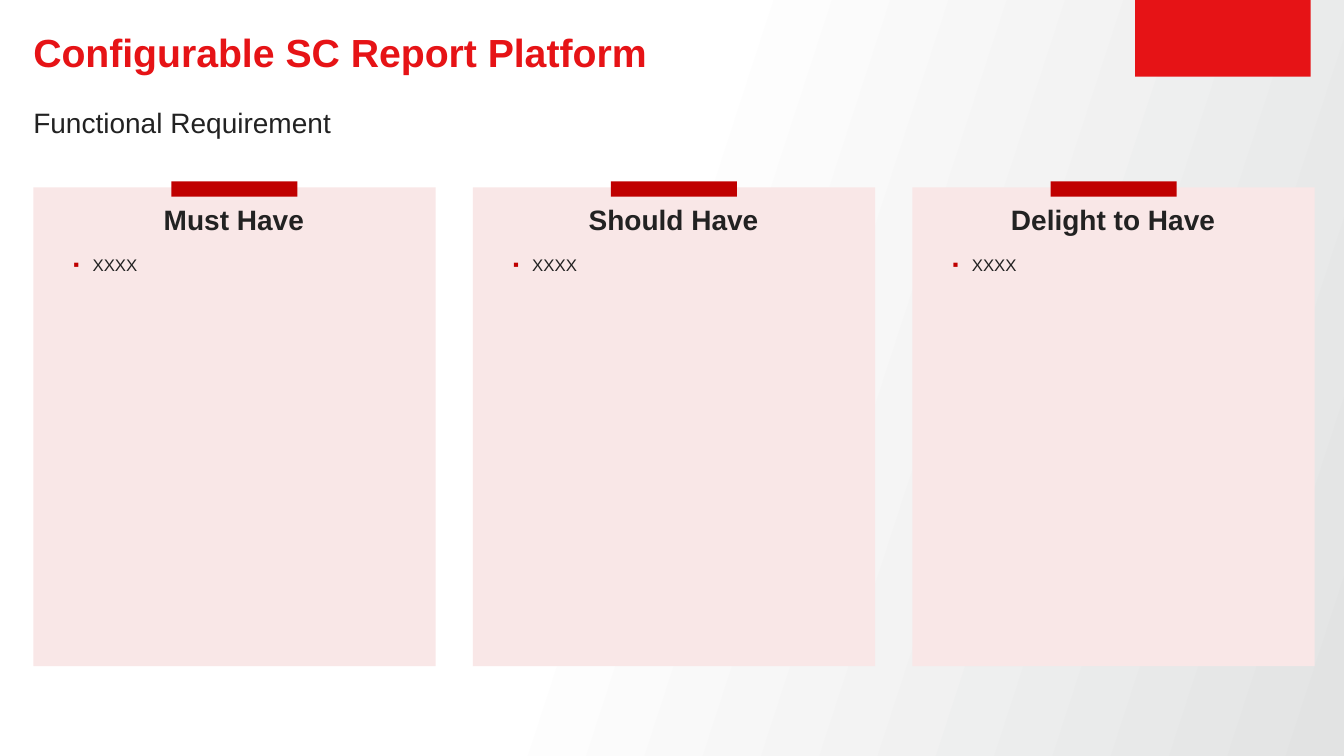
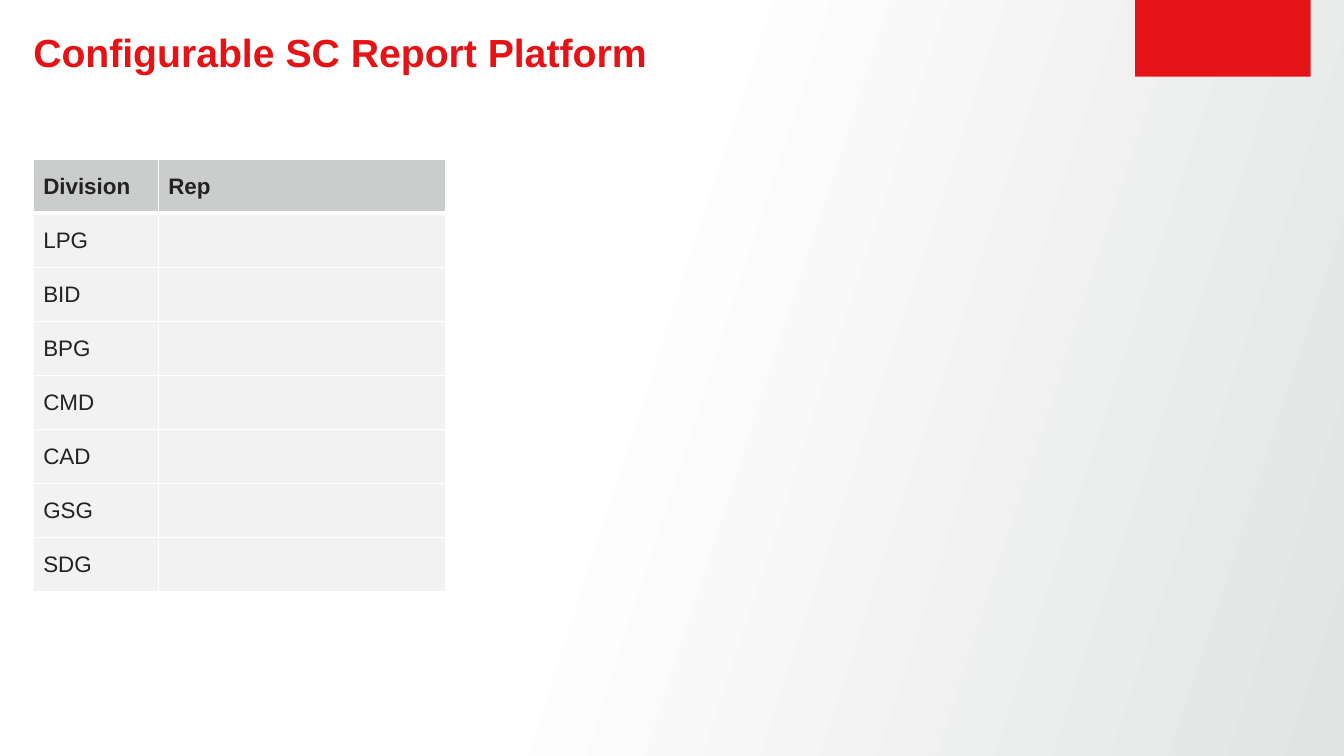
"""Build two requirement slides for a configurable report platform."""
import copy

import lxml.etree
import pptx
import pptx.dml.color
import pptx.enum.shapes
import pptx.enum.text
import pptx.oxml
import pptx.oxml.ns
import pptx.util

PX = 9144
FONT = "Arial"
COLORS = {
    "red": "E61316",
    "dark_red": "C00000",
    "pink": "F9E7E7",
    "ink": "222222",
    "header": "CBCDCD",
    "row": "F2F2F2",
    "white": "FFFFFF",
    "mist": "E2E3E3",
}
RGB = {name: pptx.dml.color.RGBColor.from_string(code) for name, code in COLORS.items()}
ALIGN = pptx.enum.text.PP_ALIGN
ANCHOR = pptx.enum.text.MSO_ANCHOR
qn = pptx.oxml.ns.qn


def add_block(slide, left, top, width, height, color):
    block = slide.shapes.add_shape(
        pptx.enum.shapes.MSO_SHAPE.RECTANGLE, left * PX, top * PX, width * PX, height * PX)
    block.shadow.inherit = False
    block.fill.solid()
    block.fill.fore_color.rgb = RGB[color]
    block.line.fill.background()


def write(frame, text, size, color="ink", bold=False, align=ALIGN.LEFT, spacing=1.0):
    frame.word_wrap = True
    frame.text = text
    paragraph = frame.paragraphs[0]
    paragraph.alignment = align
    paragraph.line_spacing = spacing
    paragraph.space_before = pptx.util.Pt(0)
    for run in paragraph.runs:
        run.font.name = FONT
        run.font.size = pptx.util.Pt(size)
        run.font.bold = bold
        run.font.color.rgb = RGB[color]
    return paragraph


prs = pptx.Presentation()
prs.slide_width = 1333 * PX
prs.slide_height = 750 * PX

backdrop = prs.slide_master.background.fill
backdrop.gradient()
backdrop.gradient_angle = 342
first_stop = backdrop.gradient_stops[0]
first_stop.color.rgb = RGB["white"]
first_stop.position = 0
stop_list = prs.slide_master.element.find(".//" + qn("p:bg")).find(".//" + qn("a:gsLst"))
stop_list.insert(1, copy.deepcopy(stop_list[0]))
backdrop.gradient_stops[1].position = 0.45
backdrop.gradient_stops[2].color.rgb = RGB["mist"]
backdrop.gradient_stops[2].position = 1

requirements = prs.slides.add_slide(prs.slide_layouts[1])
divisions = prs.slides.add_slide(prs.slide_layouts[5])

headings = [(slide, slide.shapes.title, "Configurable SC Report Platform", 33, 1067, 28, "red", True, 0.9,
             ANCHOR.MIDDLE) for slide in prs.slides]
headings.append((requirements, requirements.placeholders[1], "Functional Requirement", 98, 1268, 20, "ink",
                 False, 1.2, ANCHOR.TOP))
for slide, heading, text, top, width, size, color, bold, spacing, anchor in headings:
    heading.left, heading.top, heading.width, heading.height = 33 * PX, top * PX, width * PX, 42 * PX
    frame = heading.text_frame
    frame.margin_left = frame.margin_right = frame.margin_top = frame.margin_bottom = 0
    frame.auto_size = pptx.enum.text.MSO_AUTO_SIZE.NONE
    frame.vertical_anchor = anchor
    paragraph = write(frame, text, size, color, bold, spacing=spacing)
    properties = paragraph._p.get_or_add_pPr()
    properties.set("marL", "0")
    properties.set("indent", "0")
    lxml.etree.SubElement(properties, qn("a:buNone"))

for slide in prs.slides:
    add_block(slide, 1126, 0, 174, 76, "red")

for index, priority in enumerate(["Must Have", "Should Have", "Delight to Have"]):
    left = 33 + index * 436
    add_block(requirements, left, 186, 399, 475, "pink")
    label = requirements.shapes.add_textbox((left + 30) * PX, 194 * PX, 338 * PX, 48 * PX)
    label.text_frame.vertical_anchor = ANCHOR.MIDDLE
    write(label.text_frame, priority, 20, bold=True, align=ALIGN.CENTER)
    items = requirements.shapes.add_textbox((left + 30) * PX, 244 * PX, 338 * PX, 383 * PX)
    item = write(items.text_frame, "XXXX", 12, spacing=1.2)
    properties = item._p.get_or_add_pPr()
    properties.set("marL", str(19 * PX))
    properties.set("indent", str(-19 * PX))
    bullet_color = lxml.etree.SubElement(properties, qn("a:buClr"))
    lxml.etree.SubElement(bullet_color, qn("a:srgbClr"), val=COLORS["dark_red"])
    lxml.etree.SubElement(properties, qn("a:buFont"), typeface=FONT)
    lxml.etree.SubElement(properties, qn("a:buChar"), char="▪")
    add_block(requirements, left + 137, 180, 125, 15, "dark_red")

rows = [("Division", "Rep")]
rows += [(code, "") for code in ("LPG", "BID", "BPG", "CMD", "CAD", "GSG", "SDG")]
roster = divisions.shapes.add_table(len(rows), 2, 33 * PX, 158 * PX, 409 * PX, 429 * PX).table
roster.horz_banding = False
for column, width in zip(roster.columns, (124, 285)):
    column.width = width * PX
for row, texts in enumerate(rows):
    for column, text in enumerate(texts):
        cell = roster.cell(row, column)
        properties = cell._tc.get_or_add_tcPr()
        for side in ("L", "R", "T", "B"):
            thick = (row, side) in ((0, "B"), (1, "T"))
            border = lxml.etree.SubElement(properties, qn("a:ln" + side), w=str(38100 if thick else 12700))
            paint = lxml.etree.SubElement(border, qn("a:solidFill"))
            lxml.etree.SubElement(paint, qn("a:srgbClr"), val=COLORS["white"])
        cell.fill.solid()
        cell.fill.fore_color.rgb = RGB["header" if row == 0 else "row"]
        cell.vertical_anchor = ANCHOR.MIDDLE
        if text:
            write(cell.text_frame, text, 16, bold=row == 0)

prs.save("out.pptx")
